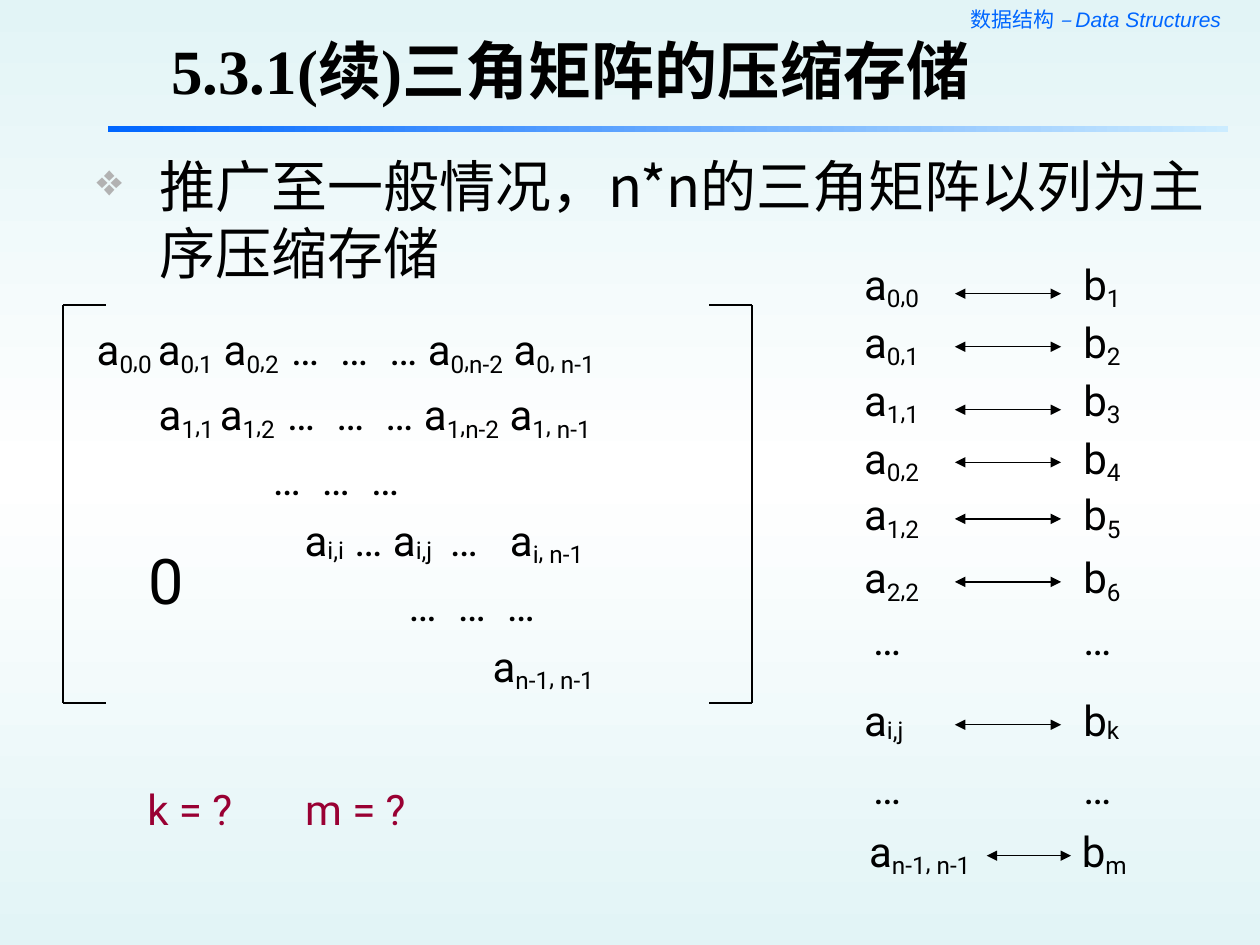
from lxml.etree import SubElement
from pptx import Presentation
from pptx.dml.color import RGBColor
from pptx.enum.shapes import MSO_CONNECTOR, MSO_SHAPE
from pptx.enum.text import MSO_ANCHOR, MSO_AUTO_SIZE, PP_ALIGN
from pptx.oxml.ns import qn
from pptx.util import Cm, Pt

SANS = "Noto Sans CJK SC"
SERIF = "Times New Roman"
BASES = {"~": 0, "_": -18, "^": -10, "%": -8}
PITCH = 0.99

MATRIX = [
    ("a_0^,_0 ~a_0^,_1\t~a_0^,_2\t~…\t…\t… a_0^,_n-2~ a_0^, _n-1",
     [2.56, 3.92, 3.92 + PITCH, 3.92 + 2 * PITCH]),
    ("\ta_1^,_1 ~a_1^,_2\t~…\t…\t… a_1^,_n-2~ a_1^, _n-1",
     [1.25, 3.84, 3.84 + PITCH, 3.84 + 2 * PITCH]),
    ("\t…\t…\t…", [3.55, 3.55 + PITCH, 3.55 + 2 * PITCH]),
    ("\ta%i,i~ … a%i,j\t~…\ta_i^, _n-1", [4.19, 7.12, 8.33]),
    ("\t…\t…\t…", [6.29, 6.29 + PITCH, 6.29 + 2 * PITCH]),
    ("\ta_n-1^, _n-1", [7.98]),
]

PAIRS = [
    ("a_0^,_0", "b_1", 5.08, 5.92),
    ("a_0^,_1", "b_2", 6.25, 6.99),
    ("a_1^,_1", "b_3", 7.42, 8.26),
    ("a_0^,_2", "b_4", 8.59, 9.32),
    ("a_1^,_2", "b_5", 9.73, 10.46),
    ("a_2^,_2", "b_6", 11, 11.73),
    ("a%i,j", "b%k", 13.87, 14.61),
]


def paint(text):
    return RGBColor.from_string(text)


def fade(fill, node, angle, stops):
    fill.gradient()
    fill.gradient_angle = angle
    group = next(node.iter(qn("a:gsLst")))
    for old in list(group):
        group.remove(old)
    for place, color in stops:
        stop = SubElement(group, qn("a:gs"), pos=str(place * 1000))
        SubElement(stop, qn("a:srgbClr"), val=color)


def add_box(shapes, left, top, width, height, wrap=True):
    frame = shapes.add_textbox(Cm(left), Cm(top), Cm(width), Cm(height)).text_frame
    frame.word_wrap = wrap
    frame.auto_size = MSO_AUTO_SIZE.SHAPE_TO_FIT_TEXT
    return frame


def add_run(para, text, size, font="Roboto", color="000000", base=0):
    run = para.add_run()
    run.text = text
    run.font.size = Pt(size)
    run.font.name = font
    run.font.color.rgb = paint(color)
    props = run.font._element
    SubElement(props, qn("a:ea"), typeface=SANS)
    if base:
        props.set("baseline", str(base * 1000))
    return run


def add_term(para, text):
    base, part = 0, ""
    for mark in text + "~":
        if mark in BASES:
            if part:
                add_run(para, part, 24, base=base)
            base, part = BASES[mark], ""
        else:
            part += mark


def set_tabs(para, stops):
    tabs = SubElement(para._p.get_or_add_pPr(), qn("a:tabLst"))
    for stop in stops:
        SubElement(tabs, qn("a:tab"), pos=str(int(Cm(stop))), algn="l")


def add_label(shapes, text, left, top, width, height=1.35):
    add_term(add_box(shapes, left, top, width, height, False).paragraphs[0], text)


def add_line(shapes, start, end, heads=False):
    line = shapes.add_connector(MSO_CONNECTOR.STRAIGHT, *map(Cm, start + end))
    line.line.color.rgb = paint("000000")
    line.line.width = Pt(0.75)
    if heads:
        stroke = line.line._get_or_add_ln()
        for name in ("a:headEnd", "a:tailEnd"):
            SubElement(stroke, qn(name), type="triangle")
    SubElement(line._element.spPr, qn("a:effectLst"))


def add_head(slide):
    fade(slide.background.fill, slide.element, 270,
         [(0, "E2F4F6"), (50, "FFFFFF"), (100, "E2F4F6")])
    para = add_box(slide.shapes, 15.14, 0, 9.73, 0.76).paragraphs[0]
    para.alignment = PP_ALIGN.RIGHT
    add_run(para, "数据结构 ", 12, SERIF, "0066FF")
    add_run(para, "– Data Structures", 12, "Arial", "0066FF").font.italic = True

    bar = slide.shapes.add_shape(
        MSO_SHAPE.RECTANGLE, Cm(2.18), Cm(2.54), Cm(22.58), Cm(0.13))
    bar.shadow.inherit = False
    bar.line.fill.background()
    fade(bar.fill, bar.element, 180, [(0, "CCECFF"), (100, "0066FF")])

    frame = add_box(slide.shapes, 3.2, 1.09, 20.29, 1.17)
    frame.auto_size = MSO_AUTO_SIZE.NONE
    frame.vertical_anchor = MSO_ANCHOR.BOTTOM
    frame.margin_top = frame.margin_bottom = Cm(0.1)
    add_run(frame.paragraphs[0], "5.3.1(续)三角矩阵的压缩存储", 36, SERIF).font.bold = True


def add_point(shapes):
    para = add_box(shapes, 1.7, 2.92, 23.29, 2.97).paragraphs[0]
    props = para._p.get_or_add_pPr()
    props.set("marL", str(int(Cm(1.27))))
    props.set("indent", str(int(Cm(-1.27))))
    SubElement(SubElement(props, qn("a:buClr")), qn("a:srgbClr"), val="B2B2B2")
    SubElement(props, qn("a:buSzPct"), val="80000")
    SubElement(props, qn("a:buChar"), char="❖")
    add_run(para, "推广至一般情况，n*n的三角矩阵以列为主序压缩存储", 32, SANS)


def add_matrix(shapes):
    frame = add_box(shapes, 1.7, 6.4, 13.08, 7.75)
    for index, (text, stops) in enumerate(MATRIX):
        para = frame.add_paragraph() if index else frame.paragraphs[0]
        set_tabs(para, stops)
        if index:
            para.space_before = Pt(6)
        add_term(para, text)
    top, low = 6.15, 14.17
    for side, tip in ((1.27, 2.13), (15.16, 14.3)):
        add_line(shapes, (side, top), (side, low))
        for edge in (top, low):
            add_line(shapes, (side, edge), (tip, edge))


def add_pairs(shapes):
    for left, right, top, mid in PAIRS:
        add_label(shapes, left, 17.17, top, 1.37 if "%" in left else 1.68)
        add_label(shapes, right, 21.59, top, 1.3)
        add_line(shapes, (19.25, mid), (21.39, mid), True)
    add_label(shapes, "a_n-1^, _n-1", 17.27, 16.51, 2.72)
    add_label(shapes, "b_m", 21.56, 16.51, 1.47)
    add_line(shapes, (19.89, 17.25), (21.59, 17.25), True)
    for top in (12.25, 15.24):
        for left in (17.35, 21.59):
            add_term(add_box(shapes, left, top, 1.7, 1.27).paragraphs[0], "…")


def main():
    deck = Presentation()
    deck.slide_width, deck.slide_height = Cm(25.4), Cm(19.05)
    slide = deck.slides.add_slide(deck.slide_layouts[6])
    shapes = slide.shapes
    add_head(slide)
    add_matrix(shapes.add_group_shape().shapes)
    add_run(add_box(shapes, 2.74, 10.8, 1.27, 1.78).paragraphs[0], "0", 36)
    add_pairs(shapes)
    para = add_box(shapes, 1.9, 15.67, 9.53, 1.27).paragraphs[0]
    set_tabs(para, [0.82, 4])
    add_run(para, "\tk = ?\tm = ?", 24, color="990033")
    add_point(shapes)
    deck.save("out.pptx")


if __name__ == "__main__":
    main()
